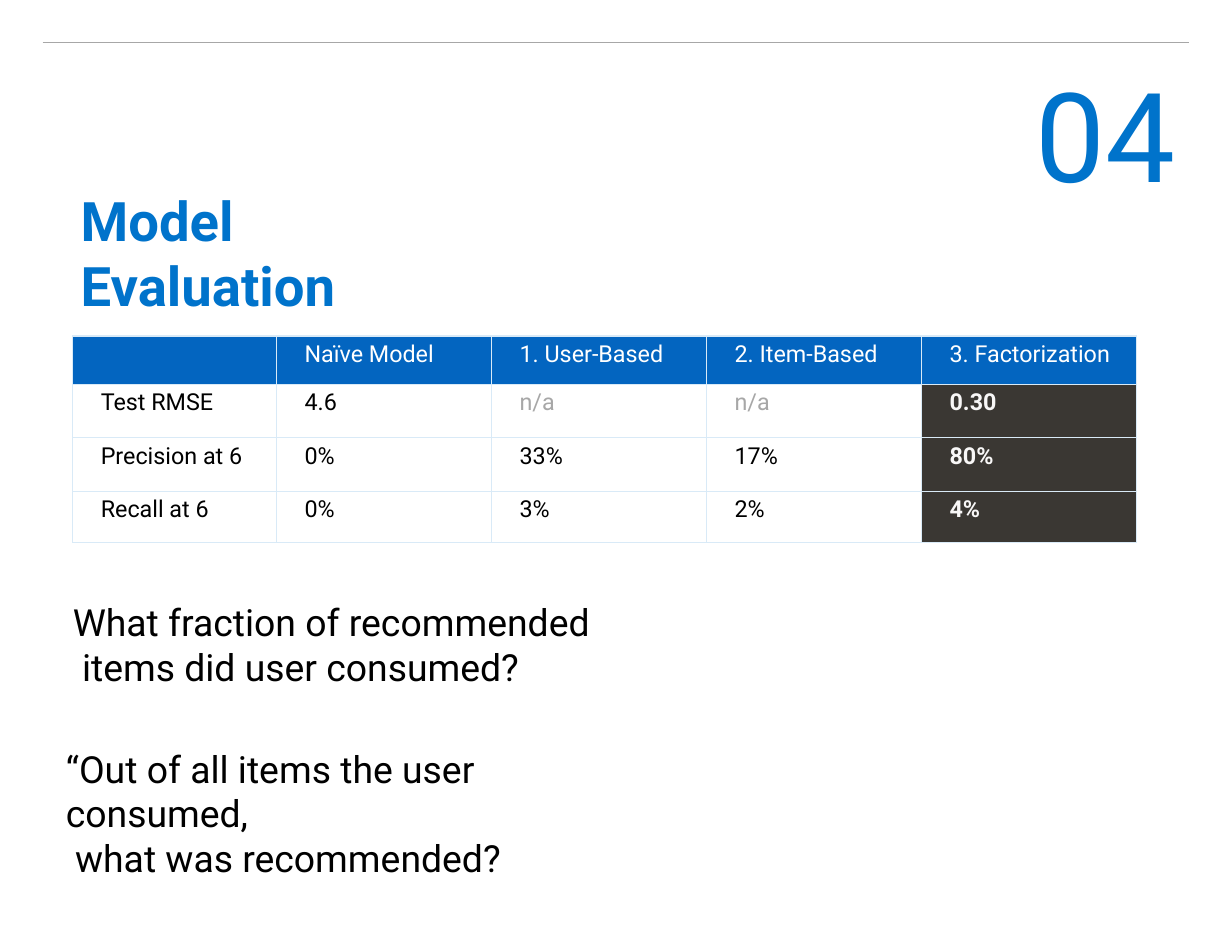
from dataclasses import dataclass

from lxml.etree import SubElement
from pptx import Presentation
from pptx.dml.color import RGBColor
from pptx.enum.shapes import MSO_CONNECTOR
from pptx.oxml.ns import qn
from pptx.util import Inches, Pt


@dataclass(frozen=True)
class Theme:
    font: str = "Roboto"
    accent: str = "0073CB"
    header: str = "0365C0"
    highlight: str = "3A3733"
    border: str = "D9EAF7"
    muted: str = "A7A7A7"
    black: str = "000000"
    white: str = "FFFFFF"
    off_white: str = "F8F7F7"
    number_size: float = 80
    title_size: float = 35
    body_size: float = 24
    table_size: float = 15
    line_width: float = 0.75


@dataclass(frozen=True)
class TextBlock:
    left: float
    top: float
    width: float
    height: float
    lines: tuple[str, ...]
    size: float
    color: str
    bold: bool = False
    wrap: bool = True
    inset: tuple[float, float] = (0, 0)


T = Theme()

TEXT_BLOCKS = (
    TextBlock(0.72, 1.67, 3.68, 1.08, ("Model Evaluation",), T.title_size, T.accent, bold=True),
    TextBlock(9.25, 0.52, 1.26, 1.09, ("04",), T.number_size, T.accent, wrap=False),
    TextBlock(0.65, 5.35, 9.51, 0.87,
              ("What fraction of recommended", " items did user consumed?"),
              T.body_size, T.black),
    TextBlock(0.49, 6.61, 5.5, 0.91,
              ("“Out of all items the user consumed,", " what was recommended?"),
              T.body_size, T.black, inset=(0.1, 0.05)),
)

RESULTS = (
    ("", "Naïve Model", "1. User-Based", "2. Item-Based", "3. Factorization"),
    ("Test RMSE", "4.6", "n/a", "n/a", "0.30"),
    ("Precision at 6", "0%", "33%", "17%", "80%"),
    ("Recall at 6", "0%", "3%", "2%", "4%"),
)
COLUMN_WIDTHS = (1.82,) + (1.92,) * 4
ROW_HEIGHTS = (0.43, 0.48, 0.48, 0.45)


def add_run(p, text: str, size: float, color: str, bold: bool = False) -> None:
    r = p.add_run()
    r.text = text
    for name, value in {"name": T.font, "size": Pt(size), "bold": bold}.items():
        setattr(r.font, name, value)
    r.font.color.rgb = RGBColor.from_string(color)


def set_margins(target, x: float = 0, y: float = 0) -> None:
    margins = {"margin_left": x, "margin_right": x, "margin_top": y, "margin_bottom": y}
    for name, value in margins.items():
        setattr(target, name, Inches(value))


def add_text(s, block: TextBlock) -> None:
    sp = s.shapes.add_textbox(*map(Inches, (block.left, block.top, block.width, block.height)))
    tf = sp.text_frame
    tf.word_wrap = block.wrap
    set_margins(tf, *block.inset)
    for i, line in enumerate(block.lines):
        p = tf.add_paragraph() if i else tf.paragraphs[0]
        add_run(p, line, block.size, block.color, block.bold)


def add_rule(s) -> None:
    line = s.shapes.add_connector(MSO_CONNECTOR.STRAIGHT, Inches(0.38), Inches(0.38),
                                  Inches(10.62), Inches(0.38))
    line.line.color.rgb = RGBColor.from_string(T.muted)
    line.line.width = Pt(T.line_width)
    SubElement(line._element.spPr, qn("a:effectLst"))


def add_borders(cell) -> None:
    """Outline all four sides; borders must precede the fill in the cell XML."""
    tc_pr = cell._tc.get_or_add_tcPr()
    for side in ("lnL", "lnR", "lnT", "lnB"):
        ln = SubElement(tc_pr, qn(f"a:{side}"), w=str(Pt(T.line_width)))
        fill = SubElement(ln, qn("a:solidFill"))
        SubElement(fill, qn("a:srgbClr"), val=T.border)


def cell_style(row: int, col: int, text: str) -> tuple[str, str, bool]:
    """Return fill, text colour and bold."""
    if row == 0:
        return T.header, T.white, False
    if col == len(COLUMN_WIDTHS) - 1:
        return T.highlight, T.off_white, True
    return T.white, T.muted if text == "n/a" else T.black, False


def add_results_table(s) -> None:
    frame = s.shapes.add_table(len(ROW_HEIGHTS), len(COLUMN_WIDTHS), Inches(0.65), Inches(3),
                               Inches(sum(COLUMN_WIDTHS)), Inches(sum(ROW_HEIGHTS)))
    table = frame.table
    for column, width in zip(table.columns, COLUMN_WIDTHS):
        column.width = Inches(width)
    for row, height in zip(table.rows, ROW_HEIGHTS):
        row.height = Inches(height)
    for i, values in enumerate(RESULTS):
        for j, text in enumerate(values):
            cell = table.cell(i, j)
            fill, color, bold = cell_style(i, j, text)
            set_margins(cell)
            add_borders(cell)
            cell.fill.solid()
            cell.fill.fore_color.rgb = RGBColor.from_string(fill)
            if text:
                p = cell.text_frame.paragraphs[0]
                p.line_spacing = 1.17
                p._p.get_or_add_pPr().set("marL", str(Inches(0.25)))
                add_run(p, text, T.table_size, color, bold)


def main() -> None:
    prs = Presentation()
    prs.slide_width, prs.slide_height = Inches(11), Inches(8.5)
    s = prs.slides.add_slide(prs.slide_layouts[6])
    add_rule(s)
    add_results_table(s)
    for block in TEXT_BLOCKS:
        add_text(s, block)
    prs.save("out.pptx")


if __name__ == "__main__":
    main()
